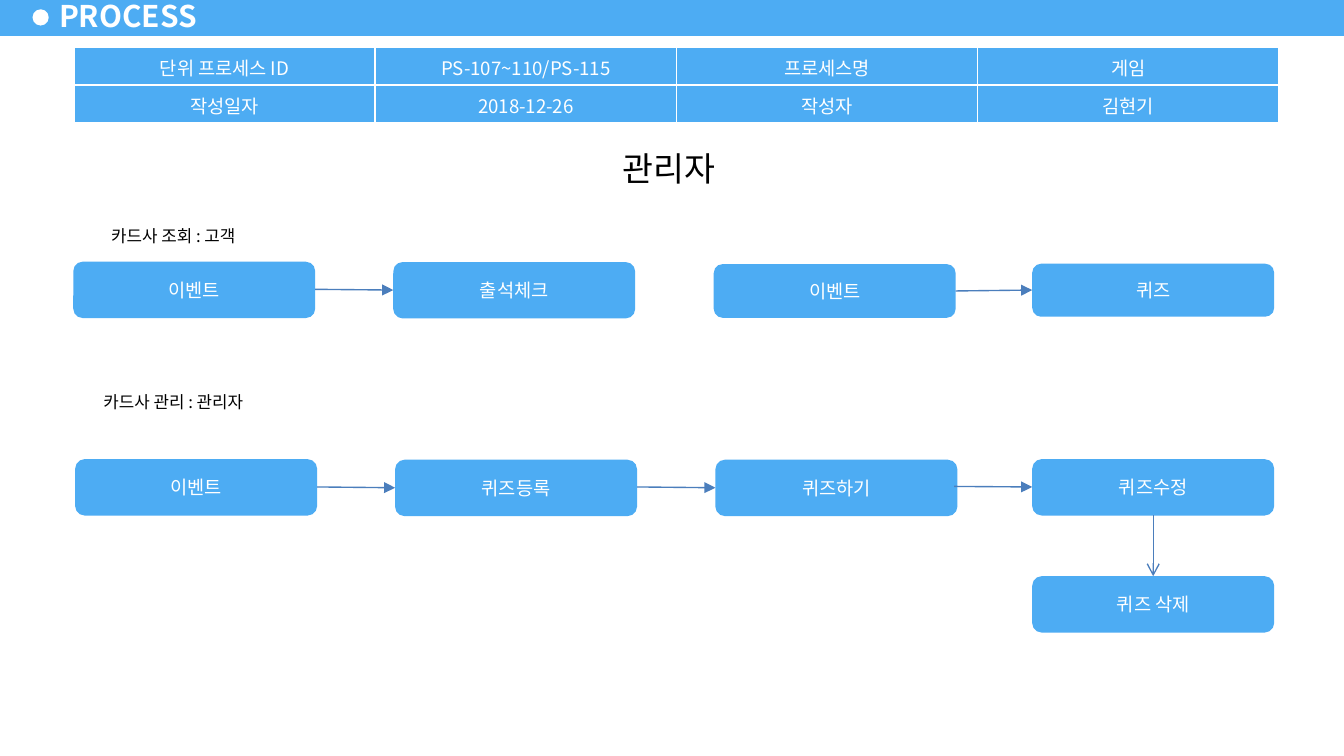
import pptx
import pptx.util
import pptx.dml.color
import pptx.enum.shapes
import pptx.enum.text
import pptx.oxml.ns
from dataclasses import dataclass
from lxml import etree

Pt = pptx.util.Pt
SHAPE = pptx.enum.shapes.MSO_SHAPE
ALIGN = pptx.enum.text.PP_ALIGN
ANCHOR = pptx.enum.text.MSO_ANCHOR
qn = pptx.oxml.ns.qn

FONT = "Noto Sans CJK KR"
BLUE, WHITE, BLACK, LINE = "4DACF3", "FFFFFF", "000000", "4B7EBC"
BOX_W = 129.6


@dataclass
class Step:
    text: str
    x: float
    y: float
    h: float = 30.2


@dataclass
class Label:
    text: str
    x: float
    y: float
    w: float
    h: float
    size: float


@dataclass
class Arrow:
    x1: float
    y1: float
    x2: float
    y2: float
    head: str = "triangle"


def color(value: str) -> pptx.dml.color.RGBColor:
    return pptx.dml.color.RGBColor.from_string(value)


def write(tf, text: str, size: float, ink: str, align=ALIGN.CENTER, bold: bool = False) -> None:
    p = tf.paragraphs[0]
    p.alignment = align
    r = p.add_run()
    r.text = text
    r.font.size = Pt(size)
    r.font.bold = bold
    r.font.name = FONT
    r.font.color.rgb = color(ink)
    etree.SubElement(r.font._element, qn("a:ea")).set("typeface", FONT)


def add_shape(s, kind, x: float, y: float, w: float, h: float, fill: str):
    sp = s.shapes.add_shape(kind, Pt(x), Pt(y), Pt(w), Pt(h))
    sp.shadow.inherit = False
    sp.fill.solid()
    sp.fill.fore_color.rgb = color(fill)
    sp.line.fill.background()
    return sp


def add_header(s) -> None:
    add_shape(s, SHAPE.RECTANGLE, 0, -1.2, 720, 20.4, BLUE)
    add_shape(s, SHAPE.OVAL, 17.4, 5, 8.7, 8.7, WHITE)
    sp = s.shapes.add_textbox(Pt(25.2), Pt(-2.9), Pt(87.8), Pt(23))
    tf = sp.text_frame
    tf.word_wrap = True
    tf.vertical_anchor = ANCHOR.MIDDLE
    tf.margin_left = tf.margin_right = Pt(6.5)
    tf.margin_top = tf.margin_bottom = Pt(3)
    write(tf, "PROCESS", 16, WHITE, ALIGN.LEFT, True)


def add_border(cell) -> None:
    tcPr = cell._tc.get_or_add_tcPr()
    for i, side in enumerate(("lnL", "lnR", "lnT", "lnB")):
        ln = etree.Element(qn(f"a:{side}"), w=str(Pt(1)))
        fill = etree.SubElement(ln, qn("a:solidFill"))
        etree.SubElement(fill, qn("a:srgbClr"), val=WHITE)
        tcPr.insert(i, ln)


def add_info(s, rows: list[list[str]]) -> None:
    frame = s.shapes.add_table(len(rows), len(rows[0]), Pt(39.6), Pt(25.5), Pt(645.6), Pt(40.4))
    for i, row in enumerate(rows):
        for j, text in enumerate(row):
            cell = frame.table.cell(i, j)
            cell.fill.solid()
            cell.fill.fore_color.rgb = color(BLUE)
            cell.vertical_anchor = ANCHOR.MIDDLE
            write(cell.text_frame, text, 10, WHITE)
            add_border(cell)


def add_step(s, step: Step) -> None:
    sp = add_shape(s, SHAPE.ROUNDED_RECTANGLE, step.x, step.y, BOX_W, step.h, BLUE)
    sp.text_frame.vertical_anchor = ANCHOR.MIDDLE
    write(sp.text_frame, step.text, 10, WHITE)


def add_label(s, label: Label) -> None:
    sp = add_shape(s, SHAPE.RECTANGLE, label.x, label.y, label.w, label.h, WHITE)
    sp.text_frame.vertical_anchor = ANCHOR.TOP
    write(sp.text_frame, label.text, label.size, BLACK)


def add_arrow(s, a: Arrow) -> None:
    cn = s.shapes.add_connector(pptx.enum.shapes.MSO_CONNECTOR.STRAIGHT,
                                Pt(a.x1), Pt(a.y1), Pt(a.x2), Pt(a.y2))
    cn.line.width = Pt(0.75)
    cn.line.color.rgb = color(LINE)
    etree.SubElement(cn.line._get_or_add_ln(), qn("a:tailEnd"), type=a.head)
    etree.SubElement(cn._element.spPr, qn("a:effectLst"))


INFO = [
    ["단위 프로세스 ID", "PS-107~110/PS-115", "프로세스명", "게임"],
    ["작성일자", "2018-12-26", "작성자", "김현기"],
]
LABELS = [
    Label("관리자", 283.7, 75.6, 149, 29.5, 18),
    Label("카드사 조회 : 고객", 40.3, 117.4, 105.1, 18, 9),
    Label("카드사 관리 : 관리자", 40.3, 206.4, 105.1, 18, 9),
]
STEPS = [
    Step("이벤트", 39.3, 140.2),
    Step("출석체크", 210.7, 140.4),
    Step("이벤트", 382.4, 141.5, 28.8),
    Step("퀴즈", 553, 141.3, 28.4),
    Step("이벤트", 40.3, 246),
    Step("퀴즈등록", 211.7, 246.3),
    Step("퀴즈하기", 383.3, 246.3),
    Step("퀴즈수정", 553, 246),
    Step("퀴즈 삭제", 553, 308.7),
]
ARROWS = [
    Arrow(168.8, 155, 210.7, 155.4),
    Arrow(512, 155.9, 553, 155.4),
    Arrow(169.9, 260.9, 211.7, 261.3),
    Arrow(341.3, 260.9, 383.3, 261.3),
    Arrow(511.2, 260.6, 553, 260.9),
    Arrow(617.8, 276, 617.8, 308.7, "arrow"),
]


def main() -> None:
    prs = pptx.Presentation()
    prs.slide_width, prs.slide_height = Pt(720), Pt(405)
    s = prs.slides.add_slide(prs.slide_layouts[6])
    add_header(s)
    add_info(s, INFO)
    for label in LABELS:
        add_label(s, label)
    for step in STEPS:
        add_step(s, step)
    for arrow in ARROWS:
        add_arrow(s, arrow)
    prs.save("out.pptx")


if __name__ == "__main__":
    main()
